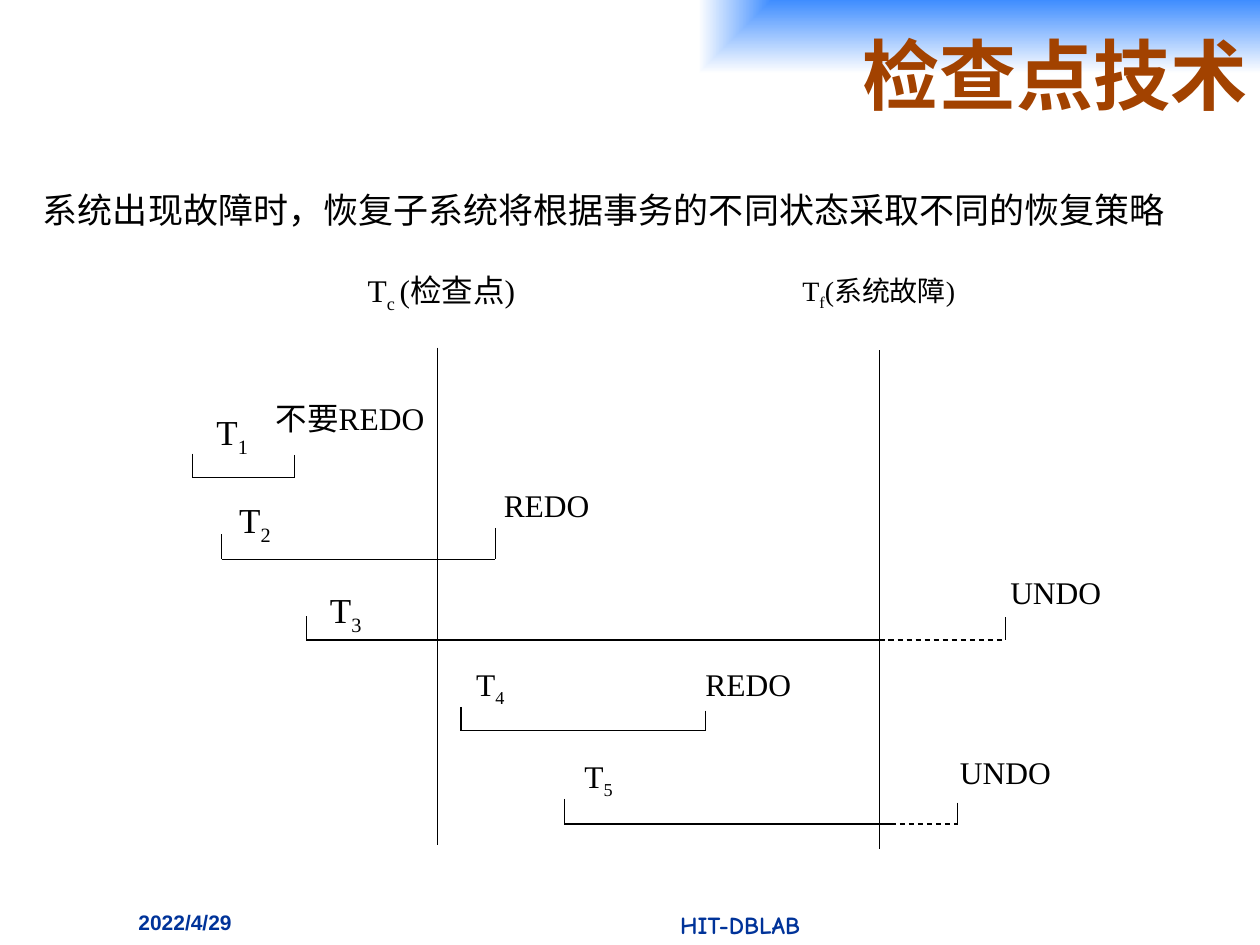
"""Build the slide on checkpoint-based recovery of transactions."""
from lxml import etree
from pptx import Presentation
from pptx.dml.color import RGBColor
from pptx.enum.dml import MSO_LINE
from pptx.enum.shapes import MSO_CONNECTOR, MSO_SHAPE
from pptx.enum.text import MSO_ANCHOR, PP_ALIGN
from pptx.oxml import parse_xml
from pptx.oxml.ns import nsdecls, qn
from pptx.util import Inches, Pt

LEFT, MID, RIGHT = PP_ALIGN.LEFT, PP_ALIGN.CENTER, PP_ALIGN.RIGHT
TOP, CENTER = MSO_ANCHOR.TOP, MSO_ANCHOR.MIDDLE
DASH, STRAIGHT, RECT = MSO_LINE.DASH, MSO_CONNECTOR.STRAIGHT, MSO_SHAPE.RECTANGLE
COLORS = {"ink": "000000", "title": "A24200", "foot": "003399",
          "sky": "3F8DFF", "paper": "FFFFFF"}
SERIF, HAN = "Times New Roman", "Noto Sans CJK SC"

deck = Presentation()
deck.slide_width, deck.slide_height = Inches(10), Inches(7.5)
COL, ROW = deck.slide_width / 100, deck.slide_height / 75
slide = deck.slides.add_slide(deck.slide_layouts[6])
shapes = slide.shapes


def write(text, box, size=18, font=SERIF, han=HAN, color="ink", bold=False,
          align=LEFT, anchor=TOP, wrap=True, shape=None):
    """Write text in a box; a part between underscores is a subscript."""
    x, y, w, h = box
    if shape is None:
        shape = shapes.add_textbox(int(x * COL), int(y * ROW), int(w * COL), int(h * ROW))
    frame = shape.text_frame
    frame.word_wrap, frame.vertical_anchor = wrap, anchor
    para = frame.paragraphs[0]
    para.alignment = align
    for i, part in enumerate(text.split("_")):
        if not part:
            continue
        run = para.add_run()
        run.text = part
        run.font.name, run.font.size, run.font.bold = font, Pt(size), bold
        run.font.color.rgb = RGBColor.from_string(COLORS[color])
        props = run.font._element
        etree.SubElement(props, qn("a:ea")).set("typeface", han)
        if i % 2:
            props.set("baseline", "-25000")


def rule(x1, y1, x2, y2, width=0.75, dash=None):
    """Draw a straight line between two grid points."""
    line = shapes.add_connector(STRAIGHT, int(x1 * COL), int(y1 * ROW),
                                int(x2 * COL), int(y2 * ROW))
    line.line.color.rgb = RGBColor.from_string(COLORS["ink"])
    line.line.width = Pt(width)
    if dash:
        line.line.dash_style = dash
    etree.SubElement(line._element.spPr, qn("a:effectLst"))


head = (10.8, 0, 89.2, 11.7)
x, y, w, h = head
banner = shapes.add_shape(RECT, int(x * COL), int(y * ROW), int(w * COL), int(h * ROW))
banner.line.fill.background()
banner.shadow.inherit = False
banner._element.spPr.insert(2, parse_xml(
    f'<a:gradFill {nsdecls("a")} rotWithShape="1"><a:gsLst>'
    f'<a:gs pos="0"><a:srgbClr val="{COLORS["sky"]}"/></a:gs>'
    f'<a:gs pos="100000"><a:srgbClr val="{COLORS["paper"]}"/></a:gs></a:gsLst>'
    '<a:path path="rect"><a:fillToRect l="100000" b="100000"/></a:path></a:gradFill>'))
write("检查点技术", head, size=44, font=HAN, color="title", bold=True,
      align=RIGHT, anchor=CENTER, shape=banner)

for x, top, end in [(34.7, 27.6, 67.1), (69.8, 27.8, 67.4)]:
    rule(x, top, x, end, width=0.5)

spans = [
    (15.3, 23.4, 23.4, 37.9, 1.9, 1.8),
    (17.6, 39.3, 39.3, 44.4, 2.0, 2.5),
    (24.3, 69.8, 79.8, 50.8, 1.9, 1.8),
    (36.6, 56.0, 56.0, 58.0, 1.9, 1.6),
    (44.8, 70.7, 76.0, 65.4, 2.0, 1.7),
]
for start, solid, end, y, rise, fall in spans:
    rule(start, y, solid, y)
    rule(start, y - rise, start, y)
    rule(end, y - fall, end, y)
    if end > solid:
        rule(solid, y, end, y, dash=DASH)

labels = [
    ("T_c _(检查点)", 28.2, 21.0, 18), ("T_f_(系统故障)", 62.7, 21.2, 16),
    ("T_1_", 16.2, 32.1, 20), ("不要REDO", 20.9, 31.2, 18),
    ("T_2_", 18.0, 39.1, 20), ("REDO", 39.0, 38.1, 18),
    ("T_3_", 25.2, 46.2, 20), ("UNDO", 79.2, 45.0, 18),
    ("T_4_", 36.8, 52.3, 18), ("REDO", 55.0, 52.3, 18),
    ("T_5_", 45.4, 59.6, 18), ("UNDO", 75.2, 59.3, 18),
]
for text, x, y, size in labels:
    write(text, (x, y, 15.6, 7.3), size=size)

write("系统出现故障时，恢复子系统将根据事务的不同状态采取不同的恢复策略 ",
      (2, 14.5, 92.5, 4.4), size=20, font="Noto Sans CJK JP",
      han="Noto Sans CJK JP", align=MID, wrap=False)
write("2022/4/29", (10, 71.7, 17.5, 3.3), size=12, font="Arial", color="foot", bold=True)
write("HIT-DBLAB", (35, 71.7, 47.5, 3.3), size=14, font="Comic Neue",
      color="foot", bold=True, align=MID)

deck.save("out.pptx")
